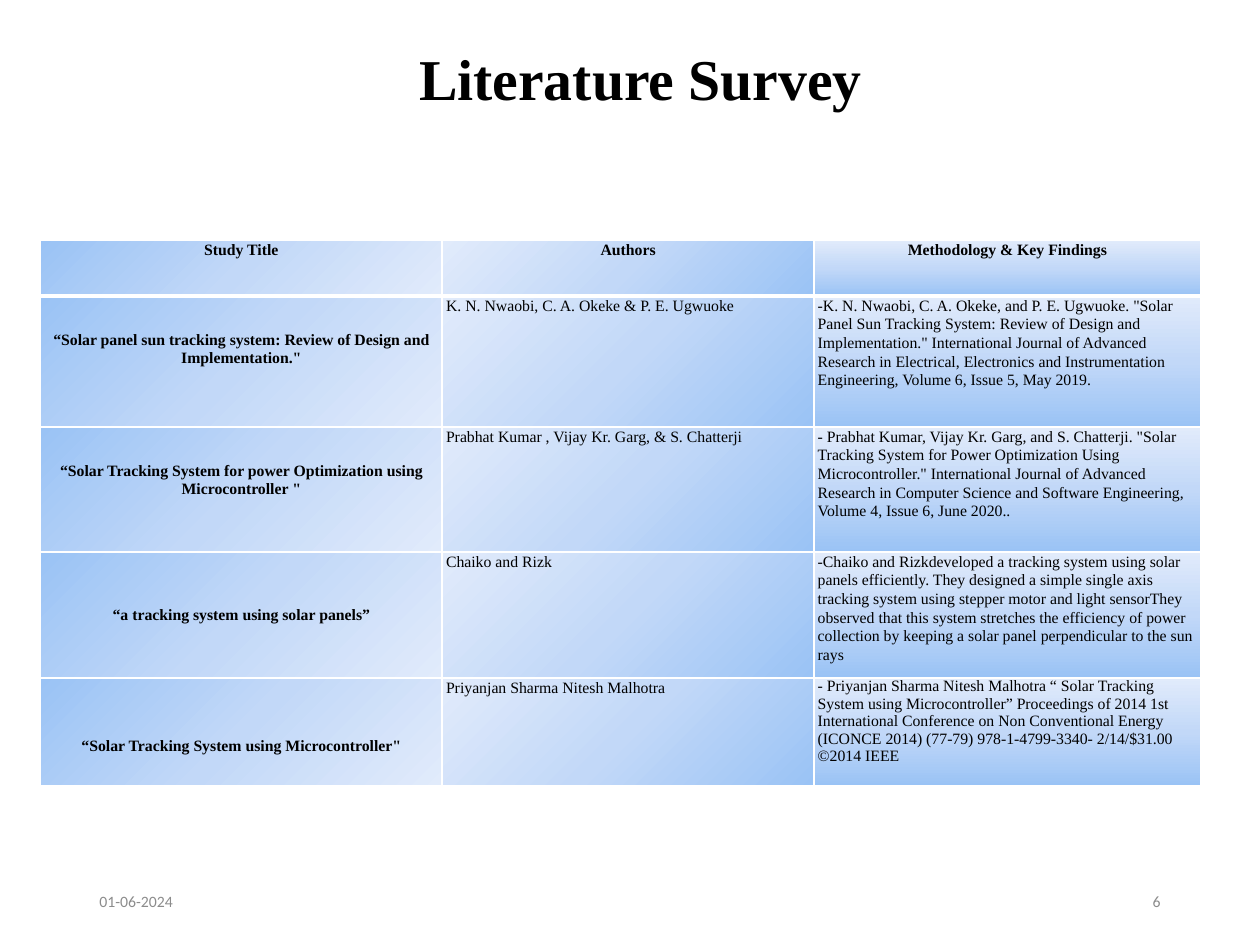
import pptx
import pptx.util
import pptx.enum.text
import pptx.dml.color
from lxml import etree
from pptx.util import Inches, Pt

INK = {"text": "000000", "foot": "8C8C8C", "edge": "FFFFFF",
       "deep": "9AC3F5", "mid": "C2D8F8", "pale": "E1EBFB"}
NS = "http://schemas.openxmlformats.org/drawingml/2006/main"
ALIGN = pptx.enum.text.PP_ALIGN
ANCHOR = pptx.enum.text.MSO_ANCHOR


def style(para, face, size, ink, bold=False, align=ALIGN.LEFT):
    para.alignment = align
    font = para.font
    font.name, font.size, font.bold = face, Pt(size), bold
    font.color.rgb = pptx.dml.color.RGBColor.from_string(INK[ink])


def paint(cell, angle, base):
    """Give a cell white borders and a three-stop gradient."""
    props = cell._tc.get_or_add_tcPr()
    for side in "LRTB":
        width = Pt(base if side == "B" else 1)
        props.append(etree.fromstring(
            f'<a:ln{side} xmlns:a="{NS}" w="{width}"><a:solidFill>'
            f'<a:srgbClr val="{INK["edge"]}"/></a:solidFill></a:ln{side}>'))
    stops = "".join(f'<a:gs pos="{pos * 1000}"><a:srgbClr val="{INK[name]}"/></a:gs>'
                    for pos, name in ((0, "deep"), (50, "mid"), (100, "pale")))
    props.append(etree.fromstring(
        f'<a:gradFill xmlns:a="{NS}" rotWithShape="1"><a:gsLst>{stops}</a:gsLst>'
        f'<a:lin ang="{angle * 60000}" scaled="0"/></a:gradFill>'))


deck = pptx.Presentation()
deck.slide_width, deck.slide_height = Inches(10), Inches(7.5)
slide = deck.slides.add_slide(deck.slide_layouts[5])

# Title
title = slide.shapes.title
title.left, title.top = Inches(0.67), Inches(0.3)
title.width, title.height = Inches(8.83), Inches(0.69)
title.text_frame.text = "Literature Survey"
title.text_frame.vertical_anchor = ANCHOR.MIDDLE
head = title.text_frame.paragraphs[0]
head.line_spacing = 0.9
style(head, "Times New Roman", 33, "text", True, ALIGN.CENTER)

# Survey table
ROWS = [
    ("Study Title", "Authors", "Methodology & Key Findings"),
    ("“Solar panel sun tracking system: Review of Design and Implementation.\"",
     "K. N. Nwaobi, C. A. Okeke & P. E. Ugwuoke",
     "-K. N. Nwaobi, C. A. Okeke, and P. E. Ugwuoke. \"Solar Panel Sun Tracking "
     "System: Review of Design and Implementation.\" International Journal of "
     "Advanced Research in Electrical, Electronics and Instrumentation "
     "Engineering, Volume 6, Issue 5, May 2019."),
    ("“Solar Tracking System for power Optimization using Microcontroller \"",
     "Prabhat Kumar , Vijay Kr. Garg, & S. Chatterji",
     "- Prabhat Kumar, Vijay Kr. Garg, and S. Chatterji. \"Solar Tracking System "
     "for Power Optimization Using Microcontroller.\" International Journal of "
     "Advanced Research in Computer Science and Software Engineering, "
     "Volume 4, Issue 6, June 2020.."),
    ("“a tracking system using solar panels”",
     "Chaiko and Rizk",
     "-Chaiko and Rizkdeveloped a tracking system using solar panels "
     "efficiently. They designed a simple single axis tracking system using "
     "stepper motor and light sensorThey observed that this system stretches "
     "the efficiency of power collection by keeping a solar panel "
     "perpendicular to the sun rays"),
    ("“Solar Tracking System using Microcontroller\"",
     "Priyanjan Sharma Nitesh Malhotra",
     "- Priyanjan Sharma Nitesh Malhotra “ Solar Tracking System using "
     "Microcontroller” Proceedings of 2014 1st International Conference on Non "
     "Conventional Energy (ICONCE 2014) (77-79) 978-1-4799-3340- 2/14/$31.00 "
     "©2014 IEEE"),
]
WIDTHS = (3.19, 2.95, 3.07)
HEIGHTS = (0.44, 1.04, 0.99, 1, 0.86)
ANGLES = (45, 225, 270)
SINGLE = {(3, 0), (4, 2)}  # cells with plain line spacing

table = slide.shapes.add_table(len(ROWS), len(WIDTHS), Inches(0.32), Inches(1.91),
                               Inches(sum(WIDTHS)), Inches(sum(HEIGHTS))).table
for col, width in zip(table.columns, WIDTHS):
    col.width = Inches(width)
for row, height in zip(table.rows, HEIGHTS):
    row.height = Inches(height)

for r, texts in enumerate(ROWS):
    for c, text in enumerate(texts):
        cell = table.cell(r, c)
        cell.text = text
        cell.margin_left = cell.margin_right = Inches(0.03)
        cell.margin_top = cell.margin_bottom = 0
        para = cell.text_frame.paragraphs[0]
        para.line_spacing = 1.0 if (r, c) in SINGLE else 1.07
        para.space_after = Pt(0 if (r, c) == (4, 2) else 8)
        strong = r == 0 or c == 0
        style(para, "Times New Roman", 9, "text", strong,
              ALIGN.CENTER if strong else ALIGN.LEFT)
        paint(cell, ANGLES[c], 3 if r == 0 else 1)

# Study titles sit lower in their cells
for r in (1, 2):
    table.cell(r, 0).margin_top = Inches(0.27)
table.cell(3, 0).vertical_anchor = ANCHOR.MIDDLE
table.cell(4, 0).vertical_anchor = ANCHOR.BOTTOM
table.cell(4, 0).margin_bottom = Inches(0.25)

# Date and slide number
for left, text, align in ((0.69, "01-06-2024", ALIGN.LEFT), (7.06, "6", ALIGN.RIGHT)):
    frame = slide.shapes.add_textbox(Inches(left), Inches(6.95),
                                     Inches(2.25), Inches(0.4)).text_frame
    frame.word_wrap = True
    frame.vertical_anchor = ANCHOR.MIDDLE
    frame.text = text
    style(frame.paragraphs[0], "Calibri", 9, "foot", align=align)

deck.save("out.pptx")
